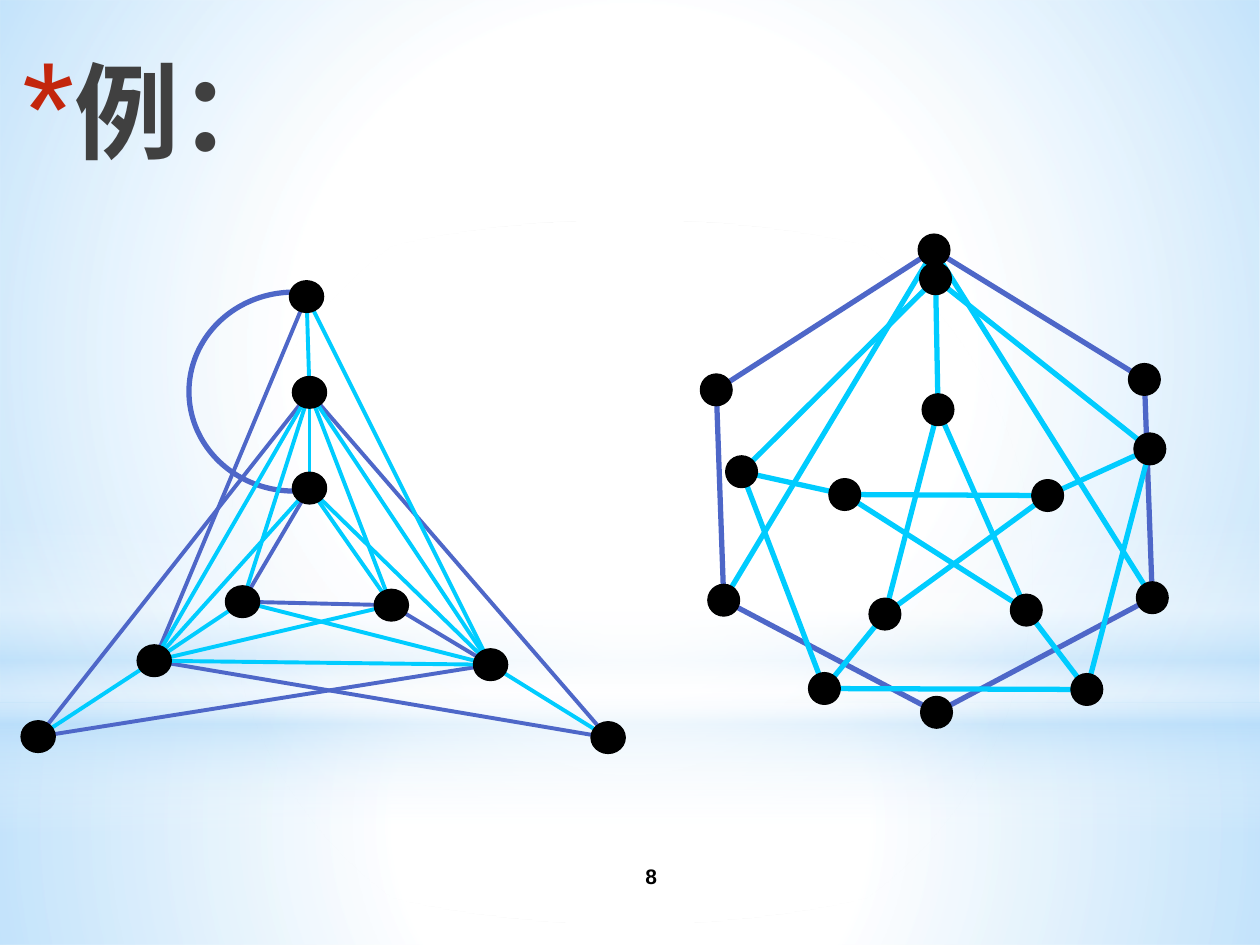
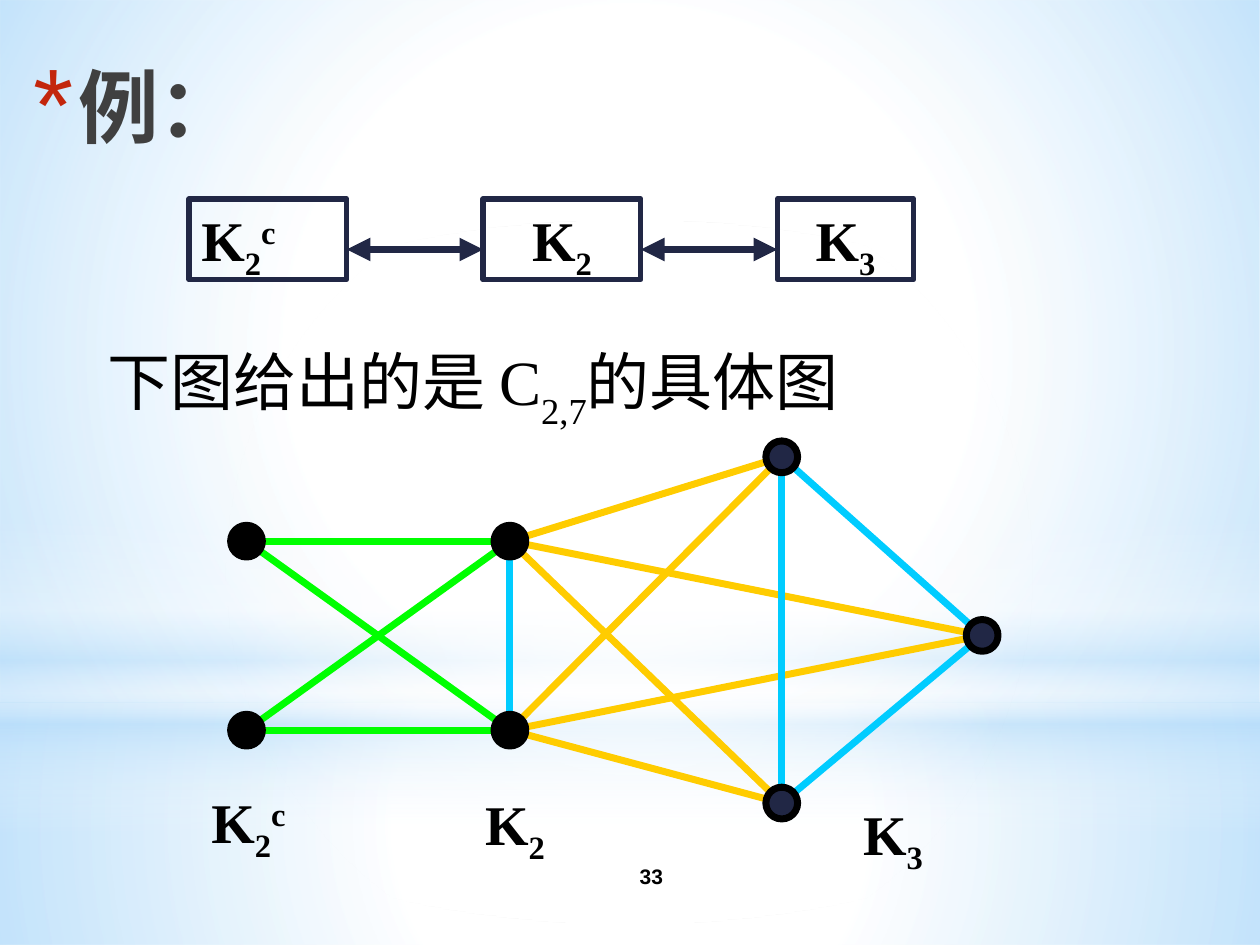
from itertools import combinations, product

from lxml import etree
from pptx import Presentation
from pptx.dml.color import RGBColor
from pptx.enum.shapes import MSO_CONNECTOR as Connector, MSO_SHAPE as Shape
from pptx.enum.text import MSO_ANCHOR as Anchor, PP_ALIGN as Align
from pptx.oxml.ns import qn
from pptx.util import Cm, Pt

COLORS = {
    "ink": "000000", "title": "404040", "bullet": "C3260C", "navy": "212745",
    "violet": "4E67C8", "cyan": "00CCFF", "green": "00FF00", "gold": "FFCC00",
    "white": "FFFFFF", "sky": "B4DCFA",
}
SERIF, SANS = "Times New Roman", "Arial"
SUB, SUPER = -25, 30
K2C = [("K", 0), ("2", SUB), ("c", SUPER)]
K2 = [("K", 0), ("2", SUB)]
K3 = [("K", 0), ("3", SUB)]


def rgb(color):
    return RGBColor.from_string(COLORS[color])


def add_xml(parent, tag, **attributes):
    return etree.SubElement(parent, qn(tag), {k: str(v) for k, v in attributes.items()})


# ---- shared drawing helpers ----
def add_preset(slide, preset, left, top, width, height, fill=None, line=None, weight=0.75):
    shape = slide.shapes.add_shape(preset, Cm(left), Cm(top), Cm(width), Cm(height))
    shape.shadow.inherit = False
    if fill:
        shape.fill.solid()
        shape.fill.fore_color.rgb = rgb(fill)
    else:
        shape.fill.background()
    if line:
        shape.line.color.rgb = rgb(line)
        shape.line.width = Pt(weight)
    else:
        shape.line.fill.background()
    return shape


def add_line(slide, start, end, color, weight, arrows=False):
    line = slide.shapes.add_connector(Connector.STRAIGHT, *map(Cm, start + end))
    line.line.color.rgb = rgb(color)
    line.line.width = Pt(weight)
    if arrows:
        outline = line.line._get_or_add_ln()
        add_xml(outline, "a:headEnd", type="triangle")
        add_xml(outline, "a:tailEnd", type="triangle")
    add_xml(line._element.spPr, "a:effectLst")


def write(frame, pieces, size, font=SERIF, bold=True, align=Align.LEFT):
    """Write (text, baseline percent) pieces as one paragraph."""
    paragraph = frame.paragraphs[0]
    paragraph.alignment = align
    for text, baseline in pieces:
        run = paragraph.add_run()
        run.text = text
        run.font.size, run.font.name, run.font.bold = Pt(size), font, bold
        run.font.color.rgb = rgb("ink")
        if baseline:
            run._r.get_or_add_rPr().set("baseline", str(baseline * 1000))


def add_text(slide, left, top, width, height, pieces, size, wrap=True, **style):
    frame = slide.shapes.add_textbox(Cm(left), Cm(top), Cm(width), Cm(height)).text_frame
    frame.word_wrap = wrap
    write(frame, pieces, size, **style)
    return frame


# ---- background, kept on the master ----
def fill_gradient(shape, stops, radial=True):
    gradient = etree.Element(qn("a:gradFill"), rotWithShape="1")
    stop_list = add_xml(gradient, "a:gsLst")
    for position, color, alpha in stops:
        stop = add_xml(stop_list, "a:gs", pos=position * 1000)
        tint = add_xml(stop, "a:srgbClr", val=COLORS[color])
        add_xml(tint, "a:alpha", val=alpha * 1000)
    if radial:
        center = add_xml(gradient, "a:path", path="circle")
        add_xml(center, "a:fillToRect", l=50000, t=50000, r=50000, b=50000)
    else:
        add_xml(gradient, "a:lin", ang=5400000, scaled=0)
    properties = shape._element.spPr
    properties.replace(properties.find(qn("a:noFill")), gradient)


def add_background(prs, slide):
    bands = [
        (Shape.RECTANGLE, 14.17, 4.88, True,
         [(0, "white", 91), (37, "white", 76), (100, "sky", 79)]),
        (Shape.RECTANGLE, 0, 14.17, True,
         [(0, "white", 89), (48, "white", 62), (100, "sky", 79)]),
        (Shape.RECTANGLE, 10.46, 6.35, False,
         [(0, "white", 0), (29, "white", 30), (45, "sky", 40),
          (55, "white", 26), (65, "sky", 60), (100, "white", 0)]),
        (Shape.OVAL, 4.45, 14.17, True, [(0, "white", 100), (56, "white", 0)]),
    ]
    tree = prs.slide_master.shapes.element
    for order, (preset, top, height, radial, stops) in enumerate(bands):
        band = add_preset(slide, preset, 0, top, 25.4, height)
        fill_gradient(band, stops, radial)
        tree.insert(2 + order, band._element)


# ---- title and page number ----
def add_heading(slide, left, height, size, page):
    title = slide.shapes.title
    title.left, title.top, title.width, title.height = map(Cm, (left, 1.07, 21.59, height))
    frame = title.text_frame
    frame.text = "例："
    frame.vertical_anchor = Anchor.MIDDLE
    paragraph = frame.paragraphs[0]
    paragraph.alignment = Align.LEFT
    properties = paragraph._p.get_or_add_pPr()
    properties.set("marL", str(Cm(0.89)))
    properties.set("indent", str(-Cm(0.89)))
    bullet_color = add_xml(properties, "a:buClr")
    add_xml(bullet_color, "a:srgbClr", val=COLORS["bullet"])
    add_xml(properties, "a:buSzPct", val=128000)
    add_xml(properties, "a:buFont", typeface=SANS)
    add_xml(properties, "a:buChar", char="*")
    font = paragraph.runs[0].font
    font.size, font.name, font.bold = Pt(size), SERIF, True
    font.color.rgb = rgb("title")
    number = add_text(slide, 10.59, 17.15, 5.08, 1.02, [(page, 0)], 12,
                      font=SANS, align=Align.CENTER)
    number.vertical_anchor = Anchor.MIDDLE


# ---- graphs: vertices are centres measured from the graph's corner ----
def add_graph(slide, left, top, vertices, edges, weight, node=(0.64, 0.64),
              node_line=0.75, node_fills=None):
    centers = {name: (left + x, top + y) for name, (x, y) in vertices.items()}
    for color, pairs in edges:
        for start, end in pairs:
            add_line(slide, centers[start], centers[end], color, weight)
    width, height = node
    for name, (x, y) in centers.items():
        fill = (node_fills or {}).get(name, "ink")
        add_preset(slide, Shape.OVAL, x - width / 2, y - height / 2, width, height,
                   fill, "ink", node_line)


def pairs_of(text):
    return [pair.split("-") for pair in text.split()]


def add_triangle_graph(slide, left, top):
    # T, L, R: top, left and right corners; 1 to 3 from the inside out
    vertices = {
        "T1": (5.81, 4.18), "L1": (4.46, 6.47), "R1": (7.46, 6.54),
        "T2": (5.81, 2.25), "L2": (2.68, 7.66), "R2": (9.46, 7.74),
        "T3": (5.75, 0.32), "L3": (0.34, 9.19), "R3": (11.83, 9.21),
    }
    violet = pairs_of("T2-L3 L3-R2 R1-R2 T3-L2 L2-R3 T2-R3 L1-R1 T1-L1")
    cyan = pairs_of("T3-T2 L2-T1 T2-T1 L2-R2 T2-L1 T3-R2 T2-R1 T2-R2 T2-L2 "
                    "R2-R3 L1-L2 L2-L3 L1-R2 T1-R2 L2-R1 T1-R1")
    # Curved edge from T3 to T1
    arc = add_preset(slide, Shape.ARC, left + 3.38, top + 0.23, 4.22, 4.01,
                     line="violet", weight=3)
    arc.adjustments[0], arc.adjustments[1] = 54, 162
    add_graph(slide, left, top, vertices, [("violet", violet), ("cyan", cyan)],
              2.25, node=(0.69, 0.64))


def add_star_graph(slide, left, top):
    # Three rings, each clockwise from its top vertex
    rings = {
        "hexagon": [(4.71, 0.32), (8.95, 2.93), (9.11, 7.33),
                    (4.76, 9.64), (0.47, 7.38), (0.32, 3.14)],
        "pentagon": [(4.74, 0.9), (9.06, 4.33), (7.79, 9.18), (2.5, 9.16), (0.83, 4.79)],
        "star": [(4.79, 3.54), (7, 5.27), (6.57, 7.58), (3.72, 7.66), (2.91, 5.25)],
    }
    vertices = {(ring, i): center for ring, centers in rings.items()
                for i, center in enumerate(centers)}

    def ring_edges(ring, step):
        count = len(rings[ring])
        return [((ring, i), (ring, (i + step) % count)) for i in range(count)]

    chords = [(("hexagon", 0), ("hexagon", i)) for i in (2, 4)]
    spokes = [(("pentagon", i), ("star", i)) for i in range(5)]
    cyan = chords + ring_edges("pentagon", 1) + spokes + ring_edges("star", 2)
    add_graph(slide, left, top, vertices,
              [("violet", ring_edges("hexagon", 1)), ("cyan", cyan)], 3)


def add_joined_graph(slide, left, top):
    parts = {
        "K2c": [(0.32, 2.02), (0.32, 5.83)],
        "K2": [(5.63, 2.02), (5.63, 5.83)],
        "K3": [(11.11, 0.32), (11.11, 7.3), (15.15, 3.92)],
    }
    vertices = {(part, i): center for part, centers in parts.items()
                for i, center in enumerate(centers)}
    k2c, k2, k3 = [[name for name in vertices if name[0] == part] for part in parts]
    edges = [
        ("green", product(k2c, k2)),
        ("gold", product(k2, k3)),
        ("cyan", [*combinations(k2, 2), *combinations(k3, 2)]),
    ]
    add_graph(slide, left, top, vertices, edges, 4, node_line=4,
              node_fills=dict.fromkeys(k3, "navy"))
    # Names under the parts
    for x, y, width, name in [(-0.64, 6.86, 2.11, K2C), (4.88, 6.91, 1.78, K2),
                              (12.5, 7.11, 1.78, K3)]:
        add_text(slide, left + x, top + y, width, 1.63, name, 32, wrap=False)


# ---- row of boxes joined by double arrows ----
def add_box_row(slide, left, top, gap=2.75, height=1.63):
    boxes = [(K2C, 3.18, Align.LEFT), (K2, 3.18, Align.CENTER), (K3, 2.75, Align.CENTER)]
    arrow_y = top + 1.02
    x = left
    for i, (name, width, align) in enumerate(boxes):
        if i:
            add_line(slide, (x - gap, arrow_y), (x, arrow_y), "navy", 4.5, arrows=True)
        box = add_preset(slide, Shape.RECTANGLE, x, top, width, height,
                         line="navy", weight=3)
        box.text_frame.vertical_anchor = Anchor.TOP
        write(box.text_frame, name, 32, align=align)
        x += width + gap


def main():
    prs = Presentation()
    prs.slide_width, prs.slide_height = Cm(25.4), Cm(19.05)
    title_only = prs.slide_layouts[5]

    # Two example graphs
    examples = prs.slides.add_slide(title_only)
    add_background(prs, examples)
    add_heading(examples, 0.2, 2.29, 60, "8")
    add_triangle_graph(examples, 0.43, 5.66)
    add_star_graph(examples, 14.12, 4.72)

    # Construction of C2,7
    construction = prs.slides.add_slide(title_only)
    add_heading(construction, 0.43, 2.11, 46, "33")
    add_box_row(construction, 3.81, 4.01)
    add_text(construction, 1.91, 6.78, 19.89, 1.78,
             [("下图给出的是 C", 0), ("2,7", -30), ("的具体图", 0)], 36, bold=False)
    add_joined_graph(construction, 4.65, 8.89)

    prs.save("out.pptx")


if __name__ == "__main__":
    main()
